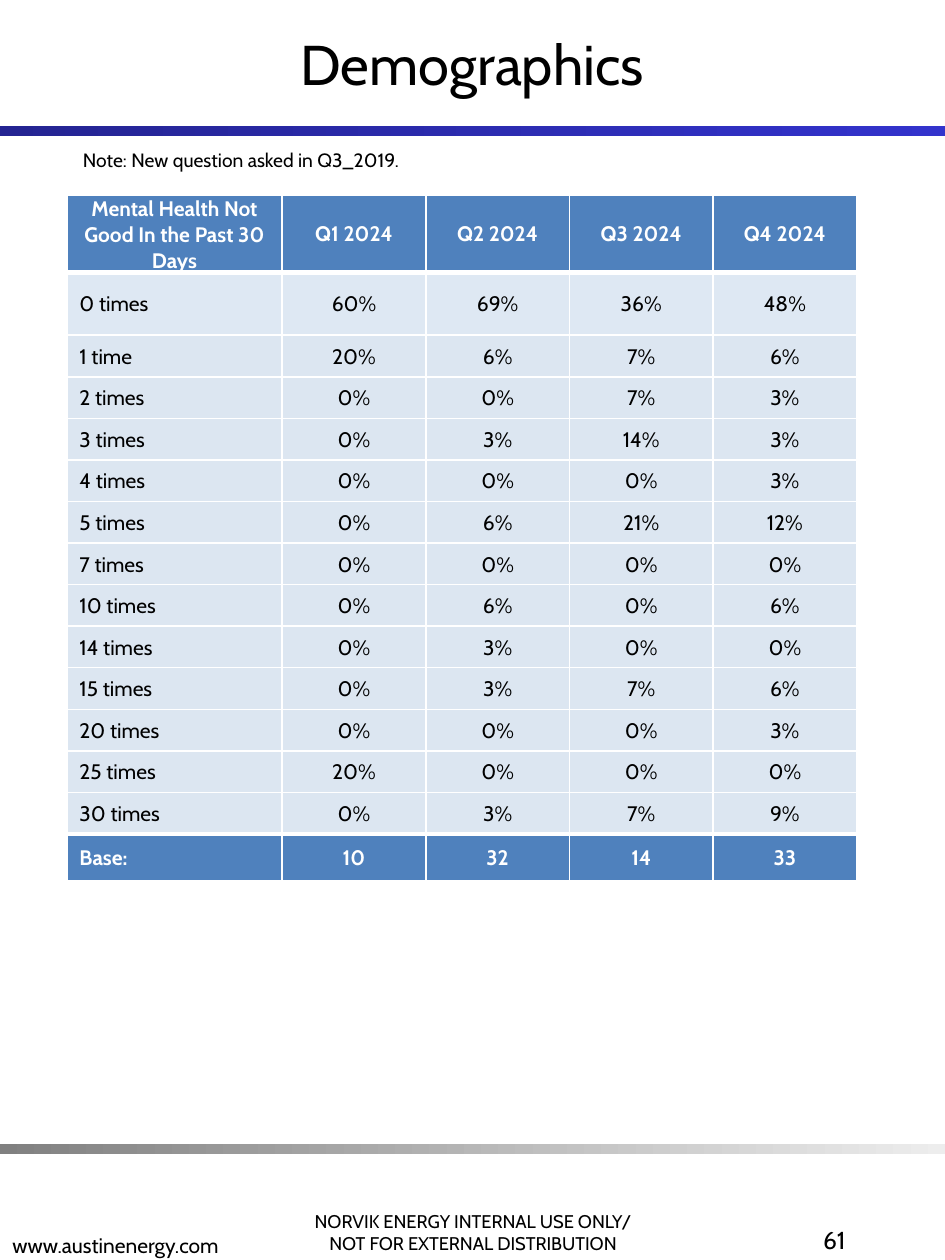
import dataclasses

import pptx
import pptx.dml.color
import pptx.enum.shapes
import pptx.enum.text
import pptx.oxml
import pptx.oxml.ns
import pptx.util
from pptx.util import Inches

ALIGN = pptx.enum.text.PP_ALIGN
ANCHOR = pptx.enum.text.MSO_ANCHOR


def rgb(value):
    return pptx.dml.color.RGBColor.from_string(value)


@dataclasses.dataclass(frozen=True)
class Theme:
    font: str = "Cabin"
    text: str = "000000"
    white: str = "FFFFFF"
    accent: str = "4F81BD"
    first_row: str = "DEE8F3"
    body_row: str = "DCE6F1"
    top_bar: tuple = ("242492", "3333CC")
    bottom_bar: tuple = ("808080", "EDEDED")
    title_size: float = 32
    page_size: float = 14
    table_size: float = 12
    note_size: float = 11
    notice_size: float = 10.5
    thin: float = 1
    thick: float = 3


class SlideBuilder:
    def __init__(self, prs, theme):
        self.theme = theme
        self.s = prs.slides.add_slide(prs.slide_layouts[6])

    def set_text(self, tf, text, size, color, align, bold=False):
        tf.word_wrap = True
        tf.text = text
        for p in tf.paragraphs:
            p.alignment = align
            for r in p.runs:
                r.font.name = self.theme.font
                r.font.size = pptx.util.Pt(size)
                r.font.bold = bold
                r.font.color.rgb = rgb(color)

    def text(self, box, text, size, align=ALIGN.LEFT, anchor=ANCHOR.TOP):
        sp = self.s.shapes.add_textbox(*map(Inches, box))
        sp.text_frame.vertical_anchor = anchor
        self.set_text(sp.text_frame, text, size, self.theme.text, align)

    def bar(self, top, colors):
        """Draw a full-width band shading from left to right."""
        sp = self.s.shapes.add_shape(
            pptx.enum.shapes.MSO_SHAPE.RECTANGLE,
            Inches(0), Inches(top), Inches(7.5), Inches(0.08))
        sp.shadow.inherit = False
        sp.line.fill.background()
        sp.fill.gradient()
        sp.fill.gradient_angle = 0
        for stop, position, color in zip(sp.fill.gradient_stops, (0, 1), colors):
            stop.position = position
            stop.color.rgb = rgb(color)

    def borders(self, cell, top, bottom):
        widths = {"L": self.theme.thin, "R": self.theme.thin, "T": top, "B": bottom}
        tcPr = cell._tc.get_or_add_tcPr()
        for side, width in widths.items():
            tcPr.append(pptx.oxml.parse_xml(
                f'<a:ln{side} {pptx.oxml.ns.nsdecls("a")} w="{pptx.util.Pt(width)}">'
                f'<a:solidFill><a:srgbClr val="{self.theme.white}"/></a:solidFill>'
                f'</a:ln{side}>'))

    def cell(self, cell, text, fill, top, bottom, strong, centered):
        self.borders(cell, top, bottom)
        cell.fill.solid()
        cell.fill.fore_color.rgb = rgb(fill)
        cell.vertical_anchor = ANCHOR.MIDDLE
        cell.margin_left = Inches(0.01 if centered else 0.1)
        cell.margin_top = cell.margin_right = Inches(0.01)
        cell.margin_bottom = 0
        self.set_text(cell.text_frame, text, self.theme.table_size,
                      self.theme.white if strong else self.theme.text,
                      ALIGN.CENTER if centered else ALIGN.LEFT, strong)

    def table(self, left, top, widths, heights, rows):
        """Draw a table whose first and last rows are emphasised."""
        t = self.theme
        last = len(rows) - 1
        table = self.s.shapes.add_table(
            len(rows), len(widths), Inches(left), Inches(top),
            Inches(sum(widths)), Inches(sum(heights))).table
        for column, width in zip(table.columns, widths):
            column.width = Inches(width)
        for i, (values, height) in enumerate(zip(rows, heights)):
            table.rows[i].height = Inches(height)
            strong = i in (0, last)
            fill = t.accent if strong else t.first_row if i == 1 else t.body_row
            above = t.thick if i in (1, last) else t.thin
            below = t.thick if i in (0, last - 1) else t.thin
            for j, value in enumerate(values):
                self.cell(table.cell(i, j), value, fill, above, below,
                          strong, centered=i == 0 or j > 0)


HEADER = ("Mental Health Not Good In the Past 30 Days",
          "Q1 2024", "Q2 2024", "Q3 2024", "Q4 2024")
SHARES = {
    0: (60, 69, 36, 48),
    1: (20, 6, 7, 6),
    2: (0, 0, 7, 3),
    3: (0, 3, 14, 3),
    4: (0, 0, 0, 3),
    5: (0, 6, 21, 12),
    7: (0, 0, 0, 0),
    10: (0, 6, 0, 6),
    14: (0, 3, 0, 0),
    15: (0, 3, 7, 6),
    20: (0, 0, 0, 3),
    25: (20, 0, 0, 0),
    30: (0, 3, 7, 9),
}
BASE = ("Base:", "10", "32", "14", "33")


def main():
    prs = pptx.Presentation()
    prs.slide_width, prs.slide_height = Inches(7.5), Inches(10)
    theme = Theme()
    b = SlideBuilder(prs, theme)

    b.bar(1, theme.top_bar)
    b.bar(9.08, theme.bottom_bar)
    b.text((2.16, 9.33, 3.19, 0.67),
           "NORVIK ENERGY INTERNAL USE ONLY/\nNOT FOR EXTERNAL DISTRIBUTION",
           theme.notice_size, ALIGN.CENTER, ANCHOR.BOTTOM)
    b.text((0, 9.36, 3.19, 0.67), "www.austinenergy.com",
           theme.table_size, anchor=ANCHOR.BOTTOM)
    b.text((0, 0, 7.5, 1), "Demographics",
           theme.title_size, ALIGN.CENTER, ANCHOR.MIDDLE)
    b.text((5.25, 9.67, 1.56, 0.67), "61", theme.page_size, ALIGN.RIGHT)

    body = [(f"{n} time" if n == 1 else f"{n} times", *(f"{v}%" for v in shares))
            for n, shares in SHARES.items()]
    b.table(0.53, 1.55, [1.71] + [1.14] * 4,
            [0.5, 0.5] + [0.33] * (len(body) - 1) + [0.37],
            [HEADER, *body, BASE])
    b.text((0.56, 1.13, 6.44, 0.29), "Note: New question asked in Q3_2019.",
           theme.note_size)
    prs.save("out.pptx")


if __name__ == "__main__":
    main()
